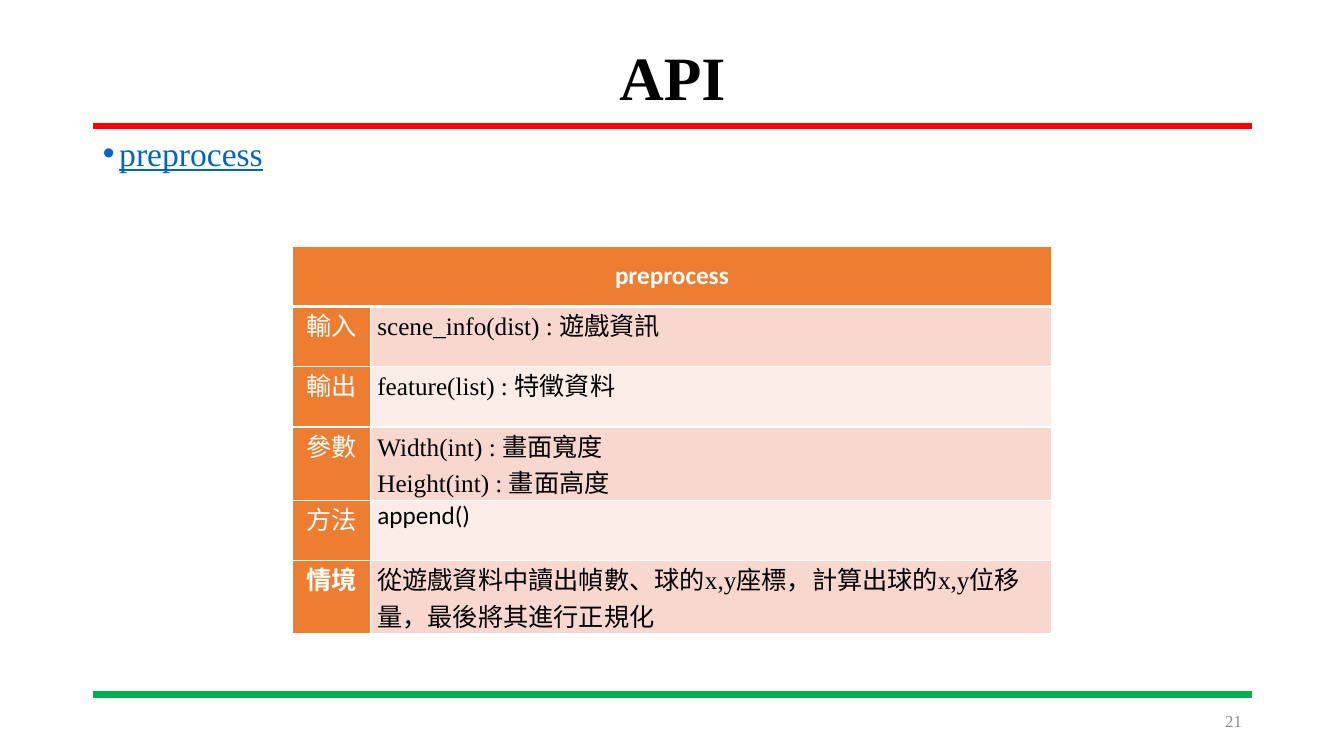
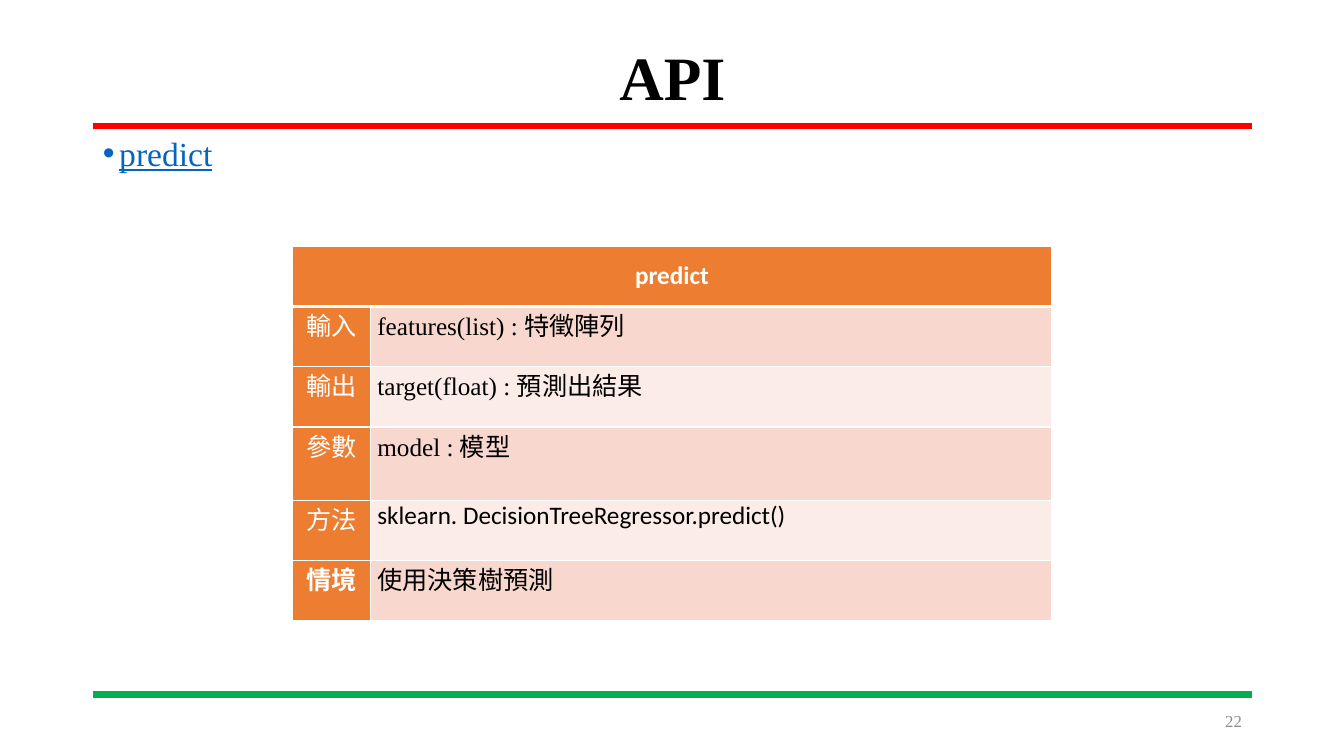
from dataclasses import dataclass

from lxml import etree
from pptx import Presentation
from pptx.dml.color import RGBColor
from pptx.enum import shapes, text
from pptx.oxml import ns
from pptx.util import Cm, Pt


@dataclass(frozen=True)
class Theme:
    """Colours, fonts and type sizes shared by all slides."""
    ink: str = "000000"
    white: str = "FFFFFF"
    link: str = "0563C1"
    grey: str = "8C8C8C"
    top_rule: str = "FF0000"
    bottom_rule: str = "00B050"
    accent: str = "ED7D31"
    bands: tuple = ("F8D7CE", "FCECE8")
    serif: str = "Times New Roman"
    sans: str = "Calibri"
    chinese: str = "Noto Sans CJK SC"
    title_size: int = 44
    list_size: int = 24
    table_size: int = 18
    number_size: int = 12


@dataclass(frozen=True)
class Box:
    """A region of the slide in centimetres."""
    left: float
    top: float
    width: float
    height: float

    def lengths(self):
        """Return the four lengths for a new shape."""
        return Cm(self.left), Cm(self.top), Cm(self.width), Cm(self.height)


THEME = Theme()
SLIDE_WIDTH, SLIDE_HEIGHT = 33.87, 19.05
MARGIN, CONTENT_WIDTH = 2.34, 29.21
TITLE_BOX = Box(MARGIN, 1.02, CONTENT_WIDTH, 2.01)
LIST_BOX = Box(MARGIN, 3.33, CONTENT_WIDTH, 14.61)
TABLE_BOX = Box(7.37, 6.2, 19.13, 9.45)
NUMBER_BOX = Box(23.93, 17.65, 7.62, 1.02)
RULES = ((3.18, THEME.top_rule), (17.5, THEME.bottom_rule))
LABEL_WIDTH = 1.96
ROW_HEIGHT, PARAMETER_HEIGHT = 1.52, 1.85
LABELS = ("輸入", "輸出", "參數", "方法", "情境")
PARAMETERS, METHOD, SCENARIO = 2, 3, 4
FIRST_NUMBER = 21
API = {
    "preprocess": (
        ["scene_info(dist) : 遊戲資訊"],
        ["feature(list) : 特徵資料"],
        ["Width(int) : 畫面寬度", "Height(int) : 畫面高度"],
        ["append()"],
        ["從遊戲資料中讀出幀數、球的x,y座標，計算出球的x,y位移量，最後將其進行正規化"],
    ),
    "predict": (
        ["features(list) : 特徵陣列"],
        ["target(float) : 預測出結果"],
        ["model : 模型"],
        ["sklearn. DecisionTreeRegressor.predict()"],
        ["使用決策樹預測"],
    ),
}


def child(parent, tag, **attributes):
    """Append a drawing element to the parent."""
    return etree.SubElement(parent, ns.qn(tag), attributes)


def write(paragraph, words, size, color, face=THEME.serif, bold=False, underline=False):
    """Add one formatted run to the paragraph."""
    run = paragraph.add_run()
    run.text = words
    font = run.font
    font.size, font.name, font.bold = Pt(size), face, bold
    font.color.rgb = RGBColor.from_string(color)
    if underline:
        font.underline = True
    child(font._element, "a:ea", typeface=THEME.chinese)


def place(shape, box):
    """Move a shape into the box."""
    shape.left, shape.top, shape.width, shape.height = box.lengths()


def add_rules(slide):
    """Draw both coloured rules and hand them to the slide's layout."""
    for height, color in RULES:
        rule = slide.shapes.add_connector(
            shapes.MSO_CONNECTOR.STRAIGHT,
            Cm(MARGIN), Cm(height), Cm(MARGIN + CONTENT_WIDTH), Cm(height))
        rule.line.color.rgb = RGBColor.from_string(color)
        rule.line.width = Pt(4.5)
        child(rule.element.spPr, "a:effectLst")
        slide.slide_layout.shapes.element.append(rule.element)


def add_title(slide, box, words):
    """Fill the title placeholder."""
    title = slide.shapes.title
    place(title, box)
    frame = title.text_frame
    frame.vertical_anchor = text.MSO_ANCHOR.MIDDLE
    frame.auto_size = text.MSO_AUTO_SIZE.NONE
    heading = frame.paragraphs[0]
    heading.alignment = text.PP_ALIGN.CENTER
    heading.line_spacing = 0.9
    write(heading, words, THEME.title_size, THEME.ink, bold=True)


def add_list(slide, box, words):
    """Fill the body placeholder with one bulleted name."""
    body = slide.placeholders[1]
    place(body, box)
    body.text_frame.auto_size = text.MSO_AUTO_SIZE.NONE
    item = body.text_frame.paragraphs[0]
    properties = item._p.get_or_add_pPr()
    properties.set("marL", str(Cm(0.41)))
    properties.set("indent", str(-Cm(0.41)))
    child(properties, "a:buFont", typeface="Arial")
    child(properties, "a:buChar", char="•")
    item.line_spacing = 0.9
    item.space_before = Pt(0)
    write(item, words, THEME.list_size, THEME.link, underline=True)


def style_cell(cell, fill, bottom=1):
    """Set margins, white borders and fill of a cell."""
    cell.margin_left = cell.margin_right = Cm(0.18)
    cell.margin_top = cell.margin_bottom = 0
    properties = cell._tc.get_or_add_tcPr()
    for side, width in (("L", 1), ("R", 1), ("T", 1), ("B", bottom)):
        border = child(properties, f"a:ln{side}", w=str(Pt(width)))
        child(child(border, "a:solidFill"), "a:srgbClr", val=THEME.white)
    cell.fill.solid()
    cell.fill.fore_color.rgb = RGBColor.from_string(fill)


def add_label(cell, words, face, bold):
    """Write a centred white label in an accent cell."""
    paragraph = cell.text_frame.paragraphs[0]
    paragraph.alignment = text.PP_ALIGN.CENTER
    write(paragraph, words, THEME.table_size, THEME.white, face, bold)


def add_api_table(slide, box, name, details):
    """Build the table that describes one function."""
    table = slide.shapes.add_table(len(LABELS) + 1, 2, *box.lengths()).table
    table.horz_banding = False
    table.columns[0].width = Cm(LABEL_WIDTH)
    table.columns[1].width = Cm(box.width - LABEL_WIDTH)
    for row in table.rows:
        row.height = Cm(ROW_HEIGHT)
    table.rows[PARAMETERS + 1].height = Cm(PARAMETER_HEIGHT)

    header = table.cell(0, 0)
    header.merge(table.cell(0, 1))
    for column in range(2):
        style_cell(table.cell(0, column), THEME.accent, bottom=3)
    header.vertical_anchor = text.MSO_ANCHOR.MIDDLE
    add_label(header, name, THEME.sans, True)

    for index, (label, lines) in enumerate(zip(LABELS, details)):
        label_cell, detail_cell = table.cell(index + 1, 0), table.cell(index + 1, 1)
        style_cell(label_cell, THEME.accent)
        add_label(label_cell, label, THEME.chinese, index == SCENARIO)
        style_cell(detail_cell, THEME.bands[index % 2])
        frame = detail_cell.text_frame
        face = THEME.sans if index == METHOD else THEME.serif
        for position, line in enumerate(lines):
            paragraph = frame.add_paragraph() if position else frame.paragraphs[0]
            write(paragraph, line, THEME.table_size, THEME.ink, face)


def add_number(slide, box, number):
    """Write the slide number at the lower right."""
    frame = slide.shapes.add_textbox(*box.lengths()).text_frame
    frame.word_wrap = True
    frame.vertical_anchor = text.MSO_ANCHOR.MIDDLE
    paragraph = frame.paragraphs[0]
    paragraph.alignment = text.PP_ALIGN.RIGHT
    write(paragraph, str(number), THEME.number_size, THEME.grey)


def add_api_slide(deck, layout, number, name, details):
    """Add a slide for one function of the API."""
    slide = deck.slides.add_slide(layout)
    add_title(slide, TITLE_BOX, "API")
    add_list(slide, LIST_BOX, name)
    add_api_table(slide, TABLE_BOX, name, details)
    add_number(slide, NUMBER_BOX, number)
    return slide


def main():
    """Build and save the presentation."""
    deck = Presentation()
    deck.slide_width, deck.slide_height = Cm(SLIDE_WIDTH), Cm(SLIDE_HEIGHT)
    layout = deck.slide_layouts[1]
    slides = [add_api_slide(deck, layout, number, name, details)
              for number, (name, details) in enumerate(API.items(), FIRST_NUMBER)]
    add_rules(slides[0])
    deck.save("out.pptx")


if __name__ == "__main__":
    main()
